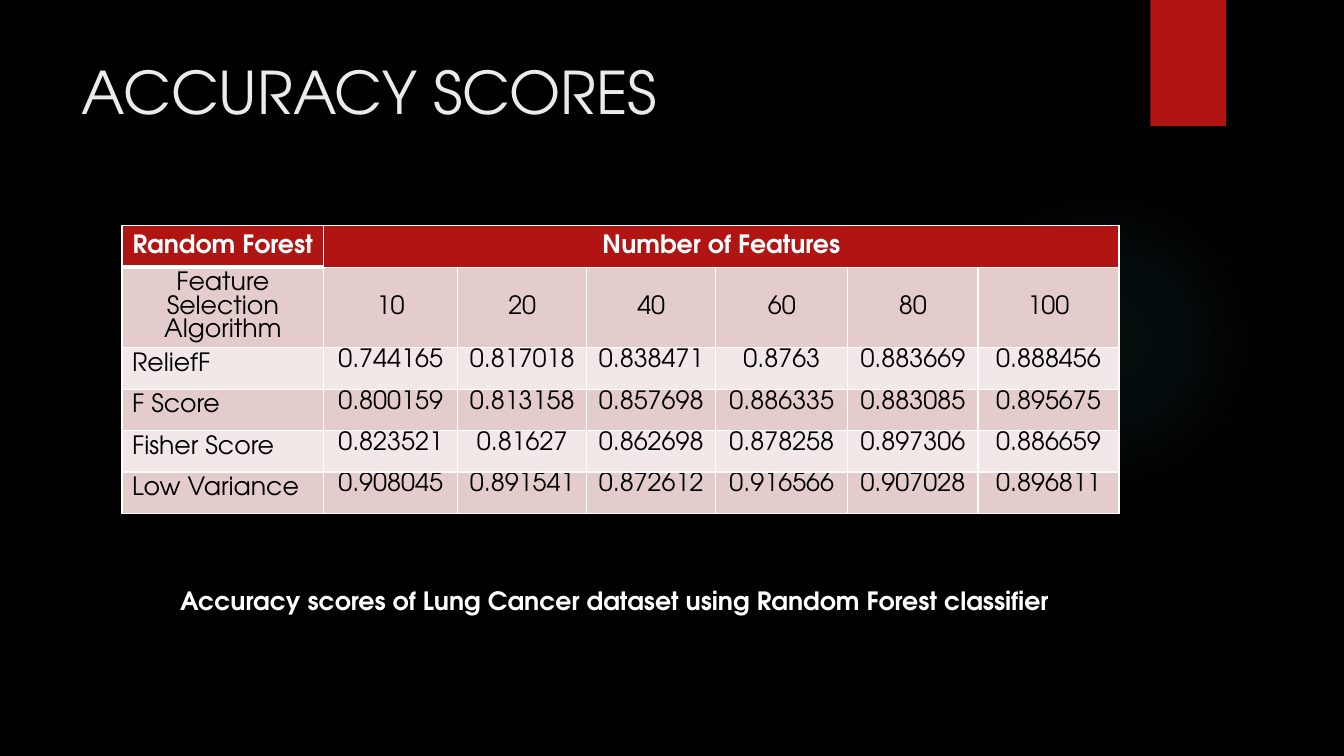
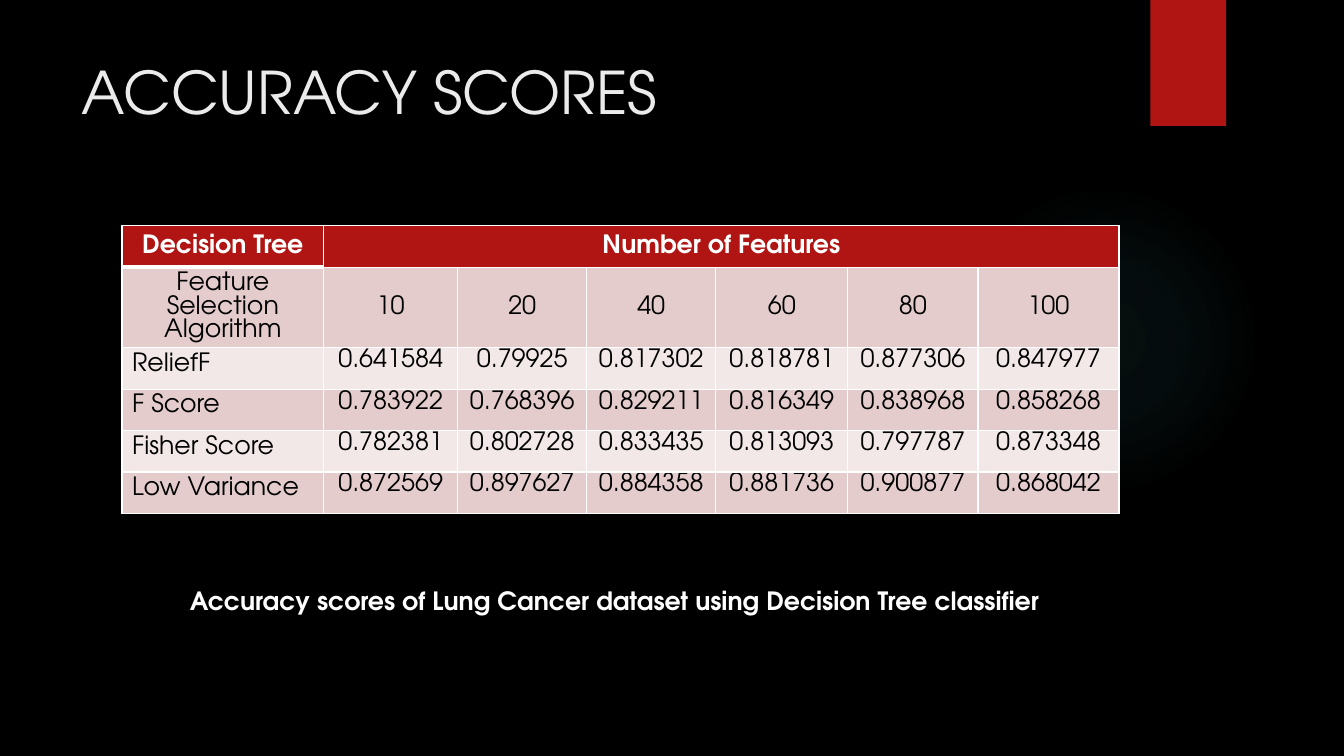
from pptx import Presentation
from pptx import util as u
from pptx.dml.color import RGBColor
from pptx.enum import shapes, text
from pptx.oxml import parse_xml
from pptx.oxml.ns import nsdecls, qn

BLACK = RGBColor(0x00, 0x00, 0x00)
WHITE = RGBColor(0xFF, 0xFF, 0xFF)
TITLE_GREY = RGBColor(0xEB, 0xEB, 0xEB)
RED = RGBColor(0xB0, 0x15, 0x13)
ROSE = RGBColor(0xE4, 0xCC, 0xCC)
PALE_ROSE = RGBColor(0xF2, 0xE8, 0xE7)
TEAL = RGBColor(0x50, 0xB9, 0xC1)

FONT = "TeX Gyre Adventor"
WIDTH, HEIGHT = u.Inches(13.33), u.Inches(7.5)
COLUMN_SHARES = (15, 9.98, 9.6, 9.6, 9.83, 9.68, 10.5)
ROW_SHARES = (5.47, 10.53, 5.47, 5.47, 5.47, 5.47)
FEATURE_COUNTS = ("10", "20", "40", "60", "80", "100")
GLOW_STOPS = ((0, 7), (36, 6), (69, 0))

CENTER = {"alignment": text.PP_ALIGN.CENTER}
LEFT = {"alignment": text.PP_ALIGN.LEFT}
SCORE = {"alignment": text.PP_ALIGN.CENTER, "line_spacing": 1.05}
MIDDLE = {"vertical_anchor": text.MSO_ANCHOR.MIDDLE}
TIGHT = {
    "margin_left": u.Inches(0.07),
    "margin_right": u.Inches(0.07),
    "margin_top": 0,
    "margin_bottom": 0,
}

RESULTS = {
    "Random Forest": {
        "ReliefF": "0.744165 0.817018 0.838471 0.8763 0.883669 0.888456",
        "F Score": "0.800159 0.813158 0.857698 0.886335 0.883085 0.895675",
        "Fisher Score": "0.823521 0.81627 0.862698 0.878258 0.897306 0.886659",
        "Low Variance": "0.908045 0.891541 0.872612 0.916566 0.907028 0.896811",
    },
    "Decision Tree": {
        "ReliefF": "0.641584 0.79925 0.817302 0.818781 0.877306 0.847977",
        "F Score": "0.783922 0.768396 0.829211 0.816349 0.838968 0.858268",
        "Fisher Score": "0.782381 0.802728 0.833435 0.813093 0.797787 0.873348",
        "Low Variance": "0.872569 0.897627 0.884358 0.881736 0.900877 0.868042",
    },
}


def across(percent):
    return round(WIDTH * percent / 100)


def down(percent):
    return round(HEIGHT * percent / 100)


def area(left, top, width, height):
    return across(left), down(top), across(width), down(height)


def apply(target, values):
    for name, value in values.items():
        setattr(target, name, value)


def write(frame, words, color, size=18, bold=False, layout=CENTER):
    para = frame.paragraphs[0]
    apply(para, layout)
    span = para.add_run()
    span.text = words
    apply(span.font, {"name": FONT, "size": u.Pt(size), "bold": bold})
    span.font.color.rgb = color


def add_decoration(page, kind, box, color):
    shape = page.shapes.add_shape(kind, *box)
    shape.shadow.inherit = False
    shape.fill.solid()
    shape.fill.fore_color.rgb = color
    shape.line.fill.background()
    return shape


def add_glow(page):
    glow = add_decoration(page, shapes.MSO_SHAPE.OVAL, area(70.59, 24.4, 23.11, 41.07), TEAL)
    stops = "".join(
        f'<a:gs pos="{place * 1000}"><a:srgbClr val="{TEAL}">'
        f'<a:alpha val="{opacity * 1000}"/></a:srgbClr></a:gs>'
        for place, opacity in GLOW_STOPS + ((100, 0),)
    )
    gradient = parse_xml(
        f'<a:gradFill {nsdecls("a")} rotWithShape="1"><a:gsLst>{stops}</a:gsLst>'
        '<a:path path="circle"><a:fillToRect l="50000" t="50000" r="50000" b="50000"/>'
        "</a:path></a:gradFill>"
    )
    properties = glow.element.spPr
    properties.replace(properties.find(qn("a:solidFill")), gradient)
    return glow


def decorate_layout(layout, page):
    layout.background.fill.solid()
    layout.background.fill.fore_color.rgb = BLACK
    glow = add_glow(page)
    ribbon = add_decoration(page, shapes.MSO_SHAPE.RECTANGLE, area(85.6, 0, 5.63, 16.67), RED)
    for index, shape in enumerate((glow, ribbon), start=2):
        layout.shapes.element.insert(index, shape.element)


def set_title(page, words):
    title = page.shapes.title
    apply(title, dict(zip(("left", "top", "width", "height"), area(5.33, 6.67, 77.2, 20.4))))
    frame = title.text_frame
    apply(frame, {
        "word_wrap": True,
        "auto_size": text.MSO_AUTO_SIZE.NONE,
        "vertical_anchor": text.MSO_ANCHOR.TOP,
    })
    write(frame, words, TITLE_GREY, size=42, layout=LEFT)


def set_borders(cell, top=1, bottom=1):
    properties = cell._tc.get_or_add_tcPr()
    for side, weight in {"L": 1, "R": 1, "T": top, "B": bottom}.items():
        properties.append(parse_xml(
            f'<a:ln{side} {nsdecls("a")} w="{u.Pt(weight)}"><a:solidFill>'
            f'<a:srgbClr val="{WHITE}"/></a:solidFill></a:ln{side}>'
        ))


def style_cell(cell, row, column):
    thick = 3 if column == 0 else 1
    set_borders(cell, top=thick if row == 1 else 1, bottom=thick if row == 0 else 1)
    cell.fill.solid()
    cell.fill.fore_color.rgb = RED if row == 0 else (PALE_ROSE, ROSE)[row % 2]


def fill_cell(cell, words, row, column):
    if row < 2:
        apply(cell, MIDDLE)
        layout = CENTER
    elif column == 0:
        layout = LEFT
    else:
        apply(cell, TIGHT)
        layout = SCORE
    write(cell.text_frame, words, BLACK if row else WHITE, bold=row == 0, layout=layout)


def add_score_table(page, classifier, scores):
    lines = [
        (classifier, "Number of Features"),
        ("Feature Selection Algorithm", *FEATURE_COUNTS),
        *((name, *values.split()) for name, values in scores.items()),
    ]
    box = area(9.08, 29.87, sum(COLUMN_SHARES), sum(ROW_SHARES))
    table = page.shapes.add_table(len(ROW_SHARES), len(COLUMN_SHARES), *box).table
    apply(table, {"first_row": False, "horz_banding": False})
    for column, share in zip(table.columns, COLUMN_SHARES):
        column.width = across(share)
    for row, share in zip(table.rows, ROW_SHARES):
        row.height = down(share)
    for row in range(len(ROW_SHARES)):
        for column in range(len(COLUMN_SHARES)):
            style_cell(table.cell(row, column), row, column)
    table.cell(0, 1).merge(table.cell(0, len(COLUMN_SHARES) - 1))
    for row, line in enumerate(lines):
        for column, words in enumerate(line):
            fill_cell(table.cell(row, column), words, row, column)


def add_caption(page, words):
    frame = page.shapes.add_textbox(*area(9.83, 76.8, 71.8, 5.33)).text_frame
    apply(frame, {"word_wrap": True, "auto_size": text.MSO_AUTO_SIZE.SHAPE_TO_FIT_TEXT})
    write(frame, words, WHITE, bold=True)


def main():
    deck = Presentation()
    apply(deck, {"slide_width": WIDTH, "slide_height": HEIGHT})
    layout = deck.slide_layouts[5]
    pages = [deck.slides.add_slide(layout) for _ in RESULTS]
    decorate_layout(layout, pages[0])
    for page, (classifier, scores) in zip(pages, RESULTS.items()):
        set_title(page, "ACCURACY SCORES")
        add_score_table(page, classifier, scores)
        add_caption(page, f"Accuracy scores of Lung Cancer dataset using {classifier} classifier")
    deck.save("out.pptx")


if __name__ == "__main__":
    main()
